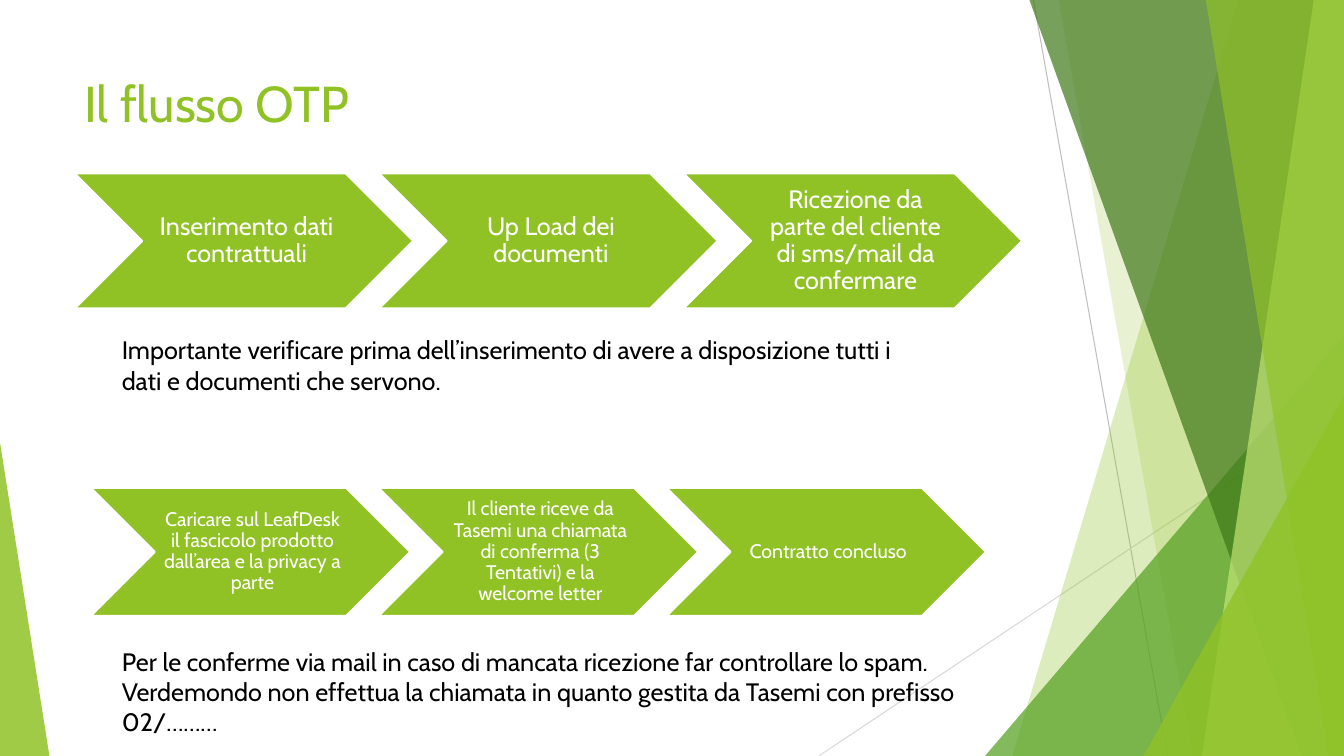
from lxml import etree
from pptx import Presentation
from pptx.dml.color import RGBColor
from pptx.enum.shapes import MSO_CONNECTOR, MSO_SHAPE
from pptx.enum.text import MSO_ANCHOR, PP_ALIGN
from pptx.oxml.ns import qn
from pptx.util import Inches, Pt

STRAIGHT = MSO_CONNECTOR.STRAIGHT
TRIANGLE, CHEVRON = MSO_SHAPE.ISOSCELES_TRIANGLE, MSO_SHAPE.CHEVRON
TOP, MIDDLE = MSO_ANCHOR.TOP, MSO_ANCHOR.MIDDLE
LEFT, CENTER = PP_ALIGN.LEFT, PP_ALIGN.CENTER

WIDTH, HEIGHT = 13.33, 7.5
FONT = "Cabin"
GREEN, WHITE, BLACK = "90C226", "FFFFFF", "000000"

# Text boxes: text, (left, top, width, height), size, colour
TEXTS = [
    ("Il flusso OTP", (0.74, 0.67, 9.4, 1.44), 36, GREEN),
    ("Importante verificare prima dell’inserimento di avere a disposizione "
     "tutti i dati e documenti che servono.", (1.11, 3.27, 8.27, 0.71), 18, BLACK),
    ("Per le conferme via mail in caso di mancata ricezione far controllare lo spam. "
     "Verdemondo non effettua la chiamata in quanto gestita da Tasemi con prefisso 02/………",
     (1.11, 6.36, 8.68, 1.01), 18, BLACK),
]

# Chevron rows: first box, step to the next, text size, (left, other) insets, steps
FLOWS = [
    ((0.74, 1.72, 3.36, 1.34), 3.02, 18, (0.08, 0.03), [
        "Inserimento dati contrattuali",
        "Up Load dei documenti",
        "Ricezione da parte del cliente di sms/mail da confermare",
    ]),
    ((0.9, 4.84, 3.17, 1.27), 2.855, 14, (0.06, 0.02), [
        "Caricare sul LeafDesk il fascicolo prodotto dall’area e la privacy a parte",
        "Il cliente riceve da Tasemi una chiamata di conferma (3 Tentativi) e la welcome letter",
        "Contratto concluso",
    ]),
]

# Background lines: start, end, colour
RAYS = [
    ((10.25, 0), (11.58, HEIGHT), "BFBFBF"),
    ((WIDTH, 4.03), (8.12, HEIGHT), "D9D9D9"),
]

# Background facets, back to front: colour, opacity %, geometry.
# A band gives its top-left and bottom-left x and runs to the right edge;
# a triangle gives left, top, width and the position of its apex.
FACETS = [
    (GREEN, 30, (12.28, 10.04)),
    (GREEN, 20, (10.5, 11.83)),
    ("54A021", 72, (9.77, 3.33, 3.56, 1)),
    ("3F7819", 70, (10.21, 12.91)),
    ("C0E474", 70, (13.03, 11.92)),
    (GREEN, 65, (11.96, 13.18)),
    (GREEN, 80, (11.34, 3.93, 1.99, 1)),
    (GREEN, 85, (0, 4.39, 0.49, 0)),
]


def color(value):
    return RGBColor.from_string(value)


def inches(values):
    return [Inches(value) for value in values]


def paint(shape, fill, opacity=100):
    shape.shadow.inherit = False
    shape.fill.solid()
    shape.fill.fore_color.rgb = color(fill)
    shape.line.fill.background()
    if opacity < 100:
        tint = shape.fill._xPr.find(qn("a:solidFill"))[0]
        etree.SubElement(tint, qn("a:alpha")).set("val", str(opacity * 1000))


def write(shape, text, size, ink, align=LEFT, anchor=TOP):
    frame = shape.text_frame
    frame.word_wrap = True
    frame.vertical_anchor = anchor
    paragraph = frame.paragraphs[0]
    paragraph.text = text
    paragraph.alignment = align
    paragraph.font.name = FONT
    paragraph.font.size = Pt(size)
    paragraph.font.color.rgb = color(ink)
    return frame


presentation = Presentation()
presentation.slide_width, presentation.slide_height = inches((WIDTH, HEIGHT))
slide = presentation.slides.add_slide(presentation.slide_layouts[6])
shapes = slide.shapes

# Background lines
for start, end, ink in RAYS:
    ray = shapes.add_connector(STRAIGHT, *inches(start + end))
    ray.line.color.rgb = color(ink)
    ray.line.width = Pt(0.75)
    etree.SubElement(ray._element.spPr, qn("a:effectLst"))

# Background facets
for fill, opacity, geometry in FACETS:
    if len(geometry) == 2:
        top_x, bottom_x = geometry
        builder = shapes.build_freeform(Inches(top_x), 0)
        corners = [(WIDTH, 0), (WIDTH, HEIGHT), (bottom_x, HEIGHT)]
        builder.add_line_segments([inches(corner) for corner in corners])
        facet = builder.convert_to_shape()
    else:
        left, top, width, apex = geometry
        facet = shapes.add_shape(TRIANGLE, *inches((left, top, width, HEIGHT - top)))
        facet.adjustments[0] = apex
    paint(facet, fill, opacity)

# Chevron rows
for (left, top, width, height), step, size, (inset_left, inset), labels in FLOWS:
    for index, label in enumerate(labels):
        box = inches((left + index * step, top, width, height))
        chevron = shapes.add_shape(CHEVRON, *box)
        paint(chevron, GREEN)
        chevron.line.color.rgb = color(WHITE)
        chevron.line.width = Pt(1.5)
        frame = write(chevron, label, size, WHITE, CENTER, MIDDLE)
        frame.paragraphs[0].line_spacing = 0.9
        frame.margin_left = Inches(inset_left)
        frame.margin_top = frame.margin_right = frame.margin_bottom = Inches(inset)

# Title and notes below the rows
for text, box, size, ink in TEXTS:
    write(shapes.add_textbox(*inches(box)), text, size, ink)

presentation.save("out.pptx")
